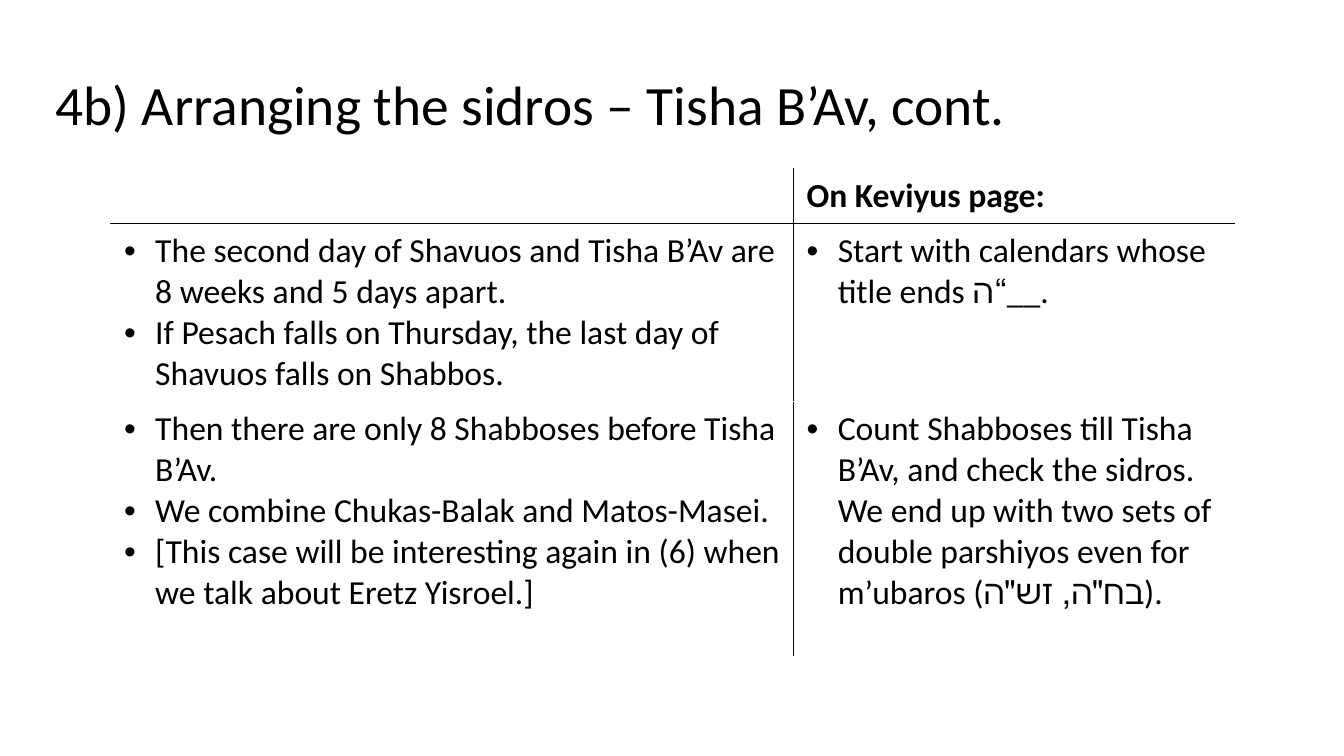
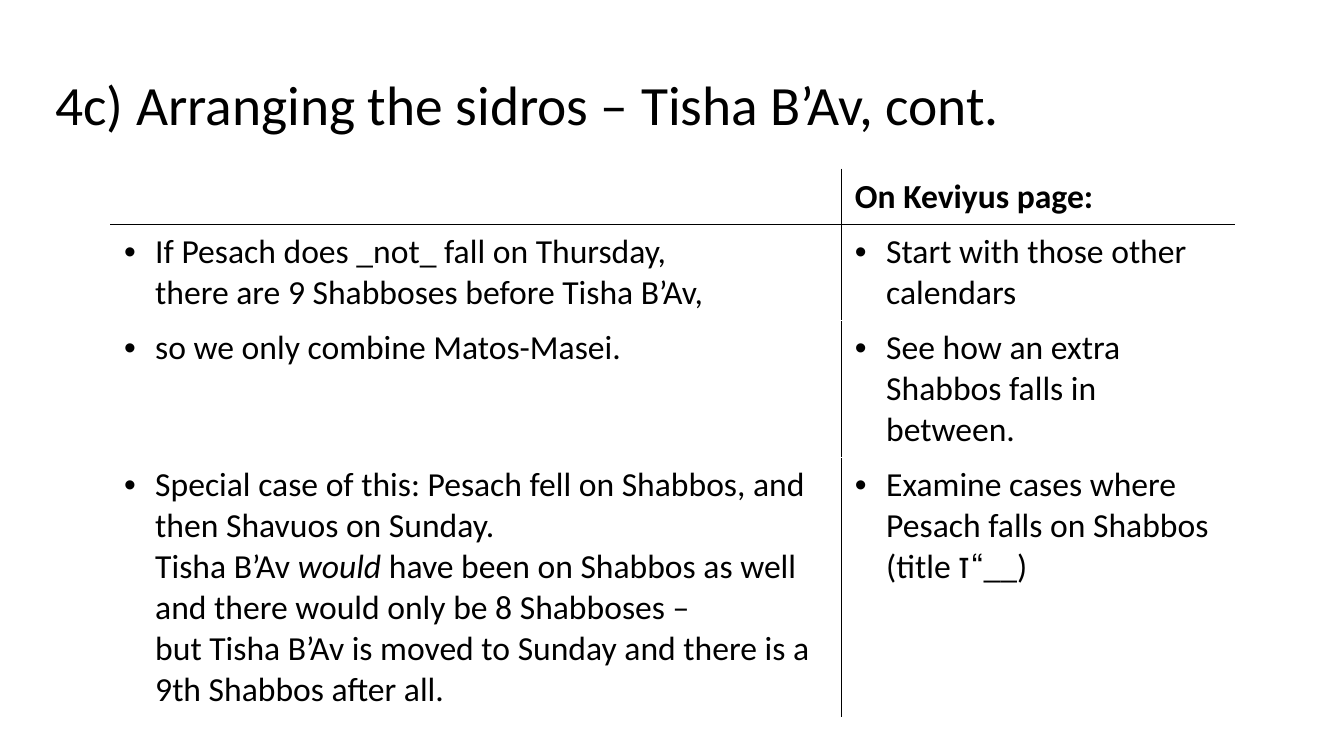
from dataclasses import dataclass

from lxml import etree
from pptx import Presentation
from pptx.dml.color import RGBColor
from pptx.enum import text as t
from pptx.oxml.ns import qn
from pptx.util import Inches, Pt


@dataclass(frozen=True)
class Theme:
    """Colours, font and type sizes of the deck."""
    ink: str = "000000"
    paper: str = "FFFFFF"
    font: str = "Calibri"
    head: float = 39.6
    body: float = 24
    rule: float = 1


NO_GRID = "{2D5ABB26-0587-4C30-8999-92F81FD0307C}"
LEFT, WIDTH = 1.1, 11.14
INDENT = 0.31
PAD_X, PAD_Y = 0.13, 0.07


def write(para, parts, theme, size, bold=False):
    """Fill a paragraph from a string or a list of (text, italic) pairs."""
    if isinstance(parts, str):
        parts = [(parts, False)]
    for words, slant in parts:
        for i, line in enumerate(words.split("\n")):
            if i:
                para.add_line_break()
            run = para.add_run()
            run.text = line
            font = run.font
            font.name, font.size = theme.font, Pt(size)
            font.bold, font.italic = bold, slant
            font.color.rgb = RGBColor.from_string(theme.ink)


def bullet(para):
    """Give a paragraph a hanging round bullet."""
    props = para._p.get_or_add_pPr()
    props.set("marL", str(Inches(INDENT)))
    props.set("indent", str(-Inches(INDENT)))
    etree.SubElement(props, qn("a:buFont")).set("typeface", "Arial")
    etree.SubElement(props, qn("a:buChar")).set("char", "•")


def border(cell, sides, width):
    """Draw cell edges; sides maps L, R, T, B, in that order, to colours."""
    props = cell._tc.get_or_add_tcPr()
    for i, (side, color) in enumerate(sides.items()):
        line = etree.Element(qn("a:ln" + side), w=str(Pt(width)))
        fill = etree.SubElement(line, qn("a:solidFill"))
        etree.SubElement(fill, qn("a:srgbClr")).set("val", color)
        props.insert(i, line)


class Deck:
    """Holds the style and the current slide."""

    def __init__(self, theme):
        """Start an empty wide deck."""
        self.theme = theme
        self.prs = Presentation()
        self.prs.slide_width = Inches(13.33)
        self.prs.slide_height = Inches(7.5)

    def page(self, title):
        """Add a slide with its title."""
        self.slide = self.prs.slides.add_slide(self.prs.slide_layouts[5])
        head = self.slide.shapes.title
        head.left, head.top = Inches(0.45), Inches(0.65)
        head.width, head.height = Inches(12.42), Inches(0.84)
        frame = head.text_frame
        frame.auto_size = t.MSO_AUTO_SIZE.NONE
        frame.vertical_anchor = t.MSO_ANCHOR.MIDDLE
        frame.margin_left = frame.margin_right = Inches(0.1)
        frame.margin_top = frame.margin_bottom = Inches(0.1)
        para = frame.paragraphs[0]
        para.alignment, para.line_spacing = t.PP_ALIGN.LEFT, 0.9
        write(para, title, self.theme, self.theme.head)

    def grid(self, top, split, highs, rows):
        """Add a two-column table ruled under its head and between columns."""
        frame = self.slide.shapes.add_table(
            len(rows), 2, Inches(LEFT), Inches(top),
            Inches(WIDTH), Inches(sum(highs)))
        table = frame.table
        table.first_row = table.horz_banding = False
        table._tbl.tblPr.find(qn("a:tableStyleId")).text = NO_GRID
        for col, wide in zip(table.columns, (split, WIDTH - split)):
            col.width = Inches(wide)
        for r, (high, row) in enumerate(zip(highs, rows)):
            table.rows[r].height = Inches(high)
            for c, items in enumerate(row):
                self.fill(table.cell(r, c), r, c, items)

    def fill(self, cell, r, c, items):
        """Format one table cell and write its paragraphs."""
        theme = self.theme
        cell.fill.background()
        cell.margin_left = cell.margin_right = Inches(PAD_X)
        cell.margin_top = cell.margin_bottom = Inches(PAD_Y)
        border(cell, {
            "L": theme.ink if c == 1 else theme.paper,
            "R": theme.ink if c == 0 else theme.paper,
            "T": theme.ink if r == 1 else theme.paper,
            "B": theme.ink if r == 0 else theme.paper,
        }, theme.rule)
        frame = cell.text_frame
        for i, item in enumerate(items):
            para = frame.add_paragraph() if i else frame.paragraphs[0]
            if r:
                bullet(para)
            write(para, item, theme, theme.body, bold=r == 0)


HEAD = ([], ["On Keviyus page:"])
TITLE = "{}) Arranging the sidros – Tisha B’Av, cont."


def thursday(deck):
    """Build the slide on Pesach falling on Thursday."""
    deck.page(TITLE.format("4b"))
    deck.grid(1.67, 6.77, (0.54, 1.73, 2.53), [
        HEAD,
        (["The second day of Shavuos and Tisha B’Av are 8 weeks and "
          "5 days apart.",
          "If Pesach falls on Thursday, the last day of Shavuos falls "
          "on Shabbos."],
         ["Start with calendars whose title ends ה“__."]),
        (["Then there are only 8 Shabboses before Tisha B’Av.",
          "We combine Chukas-Balak and Matos-Masei.",
          "[This case will be interesting again in (6) when we talk "
          "about Eretz Yisroel.]"],
         ["Count Shabboses till Tisha B’Av, and check the sidros. "
          "We end up with two sets of double parshiyos even for "
          "m’ubaros (בח\"ה, זש\"ה)."]),
    ])


def other(deck):
    """Build the slide on Pesach falling on other days."""
    deck.page(TITLE.format("4c"))
    deck.grid(1.68, 7.25, (0.54, 0.93, 1.33, 2.53), [
        HEAD,
        (["If Pesach does _not_ fall on Thursday,\n"
          "there are 9 Shabboses before Tisha B’Av,"],
         ["Start with those other calendars "]),
        (["so we only combine Matos-Masei."],
         ["See how an extra Shabbos falls in between."]),
        ([[("Special case of this: Pesach fell on Shabbos, and then "
            "Shavuos on Sunday.\nTisha B’Av ", False),
           ("would ", True),
           ("have been on Shabbos as well and there would only be "
            "8 Shabboses –\nbut Tisha B’Av is moved to Sunday and "
            "there is a 9th Shabbos after all.", False)]],
         ["Examine cases where Pesach falls on Shabbos (title ז“__)"]),
    ])


deck = Deck(Theme())
thursday(deck)
other(deck)
deck.prs.save("out.pptx")
